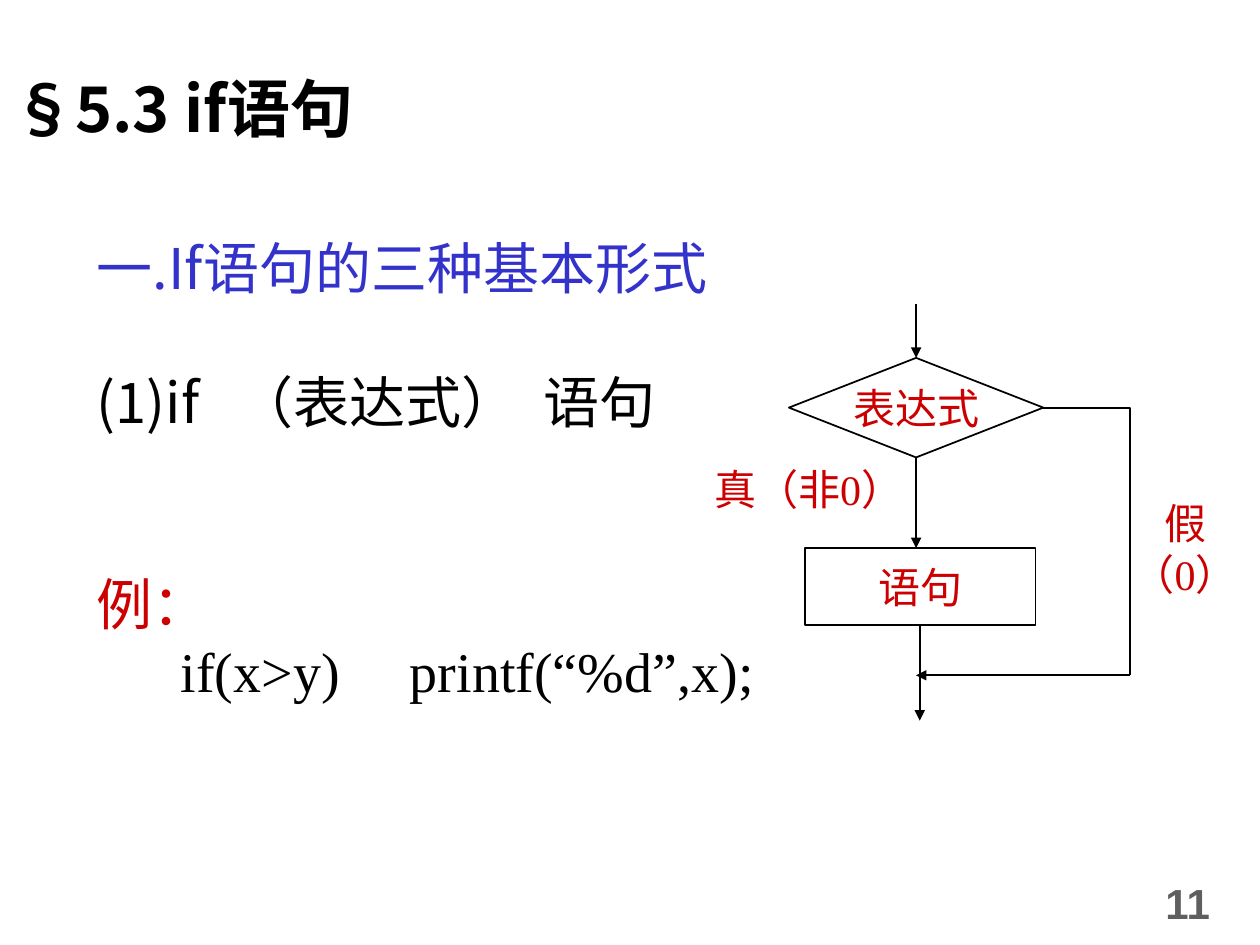
from dataclasses import dataclass

from lxml import etree
from pptx import Presentation
from pptx.dml.color import RGBColor
from pptx.enum import shapes, text
from pptx.oxml import ns
from pptx.util import Pt

BLACK = RGBColor(0x00, 0x00, 0x00)
WHITE = RGBColor(0xFF, 0xFF, 0xFF)
BLUE = RGBColor(0x33, 0x33, 0xCC)
RED = RGBColor(0xCC, 0x00, 0x00)
GRAY = RGBColor(0x5F, 0x5F, 0x5F)

SANS = "Noto Sans CJK SC"
SERIF = "Times New Roman"
LINE_FACTOR = 1.2
BODY_PITCH = 38.4
FLOW_X = 523.5
SHAPE = shapes.MSO_SHAPE
ALIGN = text.PP_ALIGN
ANCHOR = text.MSO_ANCHOR


@dataclass(frozen=True)
class Box:
    left: float
    top: float
    width: float
    height: float


@dataclass(frozen=True)
class Line:
    content: str
    size: float = 24
    font: str = SERIF
    color: RGBColor = RED
    bold: bool = False
    align: ALIGN = ALIGN.CENTER
    before: float = 0
    tabs: tuple[float, ...] = ()


@dataclass(frozen=True)
class Arrow:
    start: tuple[float, float]
    end: tuple[float, float]
    bent: bool = False


def write_lines(shape, lines: list[Line], anchor: ANCHOR, margin: float) -> None:
    frame = shape.text_frame
    frame.text = "\n".join(line.content for line in lines)
    frame.word_wrap = True
    frame.vertical_anchor = anchor
    frame.margin_left = frame.margin_right = Pt(margin)
    for paragraph, line in zip(frame.paragraphs, lines):
        paragraph.alignment = line.align
        paragraph.line_spacing = Pt(line.size * LINE_FACTOR)
        if line.before:
            paragraph.space_before = Pt(line.before)
        if line.tabs:
            tab_list = etree.SubElement(paragraph._p.get_or_add_pPr(), ns.qn("a:tabLst"))
            for position in line.tabs:
                etree.SubElement(tab_list, ns.qn("a:tab"), pos=str(Pt(position)), algn="l")
        for run in paragraph.runs:
            run.font.size = Pt(line.size)
            run.font.name = line.font
            run.font.bold = line.bold
            run.font.color.rgb = line.color
            east_asian = etree.SubElement(run._r.get_or_add_rPr(), ns.qn("a:ea"))
            east_asian.set("typeface", SANS)


def add_text(slide, box: Box, lines: list[Line],
             anchor: ANCHOR = ANCHOR.MIDDLE, margin: float = 7.2) -> None:
    shape = slide.shapes.add_textbox(Pt(box.left), Pt(box.top), Pt(box.width), Pt(box.height))
    write_lines(shape, lines, anchor, margin)


def add_node(slide, kind: SHAPE, box: Box, label: str) -> None:
    shape = slide.shapes.add_shape(kind, Pt(box.left), Pt(box.top), Pt(box.width), Pt(box.height))
    shape.shadow.inherit = False
    shape.fill.solid()
    shape.fill.fore_color.rgb = WHITE
    shape.line.color.rgb = BLACK
    shape.line.width = Pt(1)
    write_lines(shape, [Line(label)], ANCHOR.MIDDLE, 0)


def add_arrow(slide, arrow: Arrow) -> None:
    kind = shapes.MSO_CONNECTOR.ELBOW if arrow.bent else shapes.MSO_CONNECTOR.STRAIGHT
    connector = slide.shapes.add_connector(kind, *map(Pt, arrow.start + arrow.end))
    connector.line.color.rgb = BLACK
    connector.line.width = Pt(1)
    properties = connector._element.spPr
    if arrow.bent:
        properties.find(ns.qn("a:prstGeom")).set("prst", "bentConnector2")
    else:
        outline = properties.find(ns.qn("a:ln"))
        etree.SubElement(outline, ns.qn("a:tailEnd"), type="triangle")
    etree.SubElement(properties, ns.qn("a:effectLst"))


def main() -> None:
    presentation = Presentation()
    presentation.slide_width = Pt(720)
    presentation.slide_height = Pt(540)
    slide = presentation.slides.add_slide(presentation.slide_layouts[6])

    add_text(slide, Box(291.6, 491.8, 406.8, 48.2),
             [Line("11", font="Arial", color=GRAY, bold=True, align=ALIGN.RIGHT)])
    add_text(slide, Box(0, 36, 720, 90),
             [Line("§5.3 if语句", 36, SANS, BLACK, True, ALIGN.LEFT)], ANCHOR.TOP)
    add_text(slide, Box(48.2, 129.9, 604.1, 306), [
        Line("一.If语句的三种基本形式", 32, SANS, BLUE, align=ALIGN.LEFT),
        Line("(1)if\t（表达式）\t语句", 32, SANS, BLACK, align=ALIGN.LEFT,
             before=BODY_PITCH, tabs=(80.5, 255.5)),
        Line("例：", 32, align=ALIGN.LEFT, before=2 * BODY_PITCH),
        Line("      if(x>y)\tprintf(“%d”,x);", 32, color=BLACK, align=ALIGN.LEFT, tabs=(179,)),
    ], ANCHOR.TOP)

    add_node(slide, SHAPE.FLOWCHART_DECISION, Box(450.8, 204.5, 145.4, 56.9), "表达式")
    add_node(slide, SHAPE.FLOWCHART_PROCESS, Box(460, 313.2, 131.8, 43.9), "语句")
    for arrow in (
        Arrow((FLOW_X, 173.5), (FLOW_X, 204.5)),
        Arrow((FLOW_X, 261.4), (FLOW_X, 313.2)),
        Arrow((525.6, 357.1), (525.6, 411.8)),
        Arrow((596.2, 233), (645.8, 385.9), bent=True),
        Arrow((645.8, 385.9), (FLOW_X, 385.9)),
    ):
        add_arrow(slide, arrow)
    add_text(slide, Box(392, 261.4, 140, 36), [Line("真（非0）")], margin=0)
    add_text(slide, Box(634.4, 256.3, 85.6, 113.8), [Line("假"), Line("（0）")], margin=0)

    presentation.save("out.pptx")


if __name__ == "__main__":
    main()
